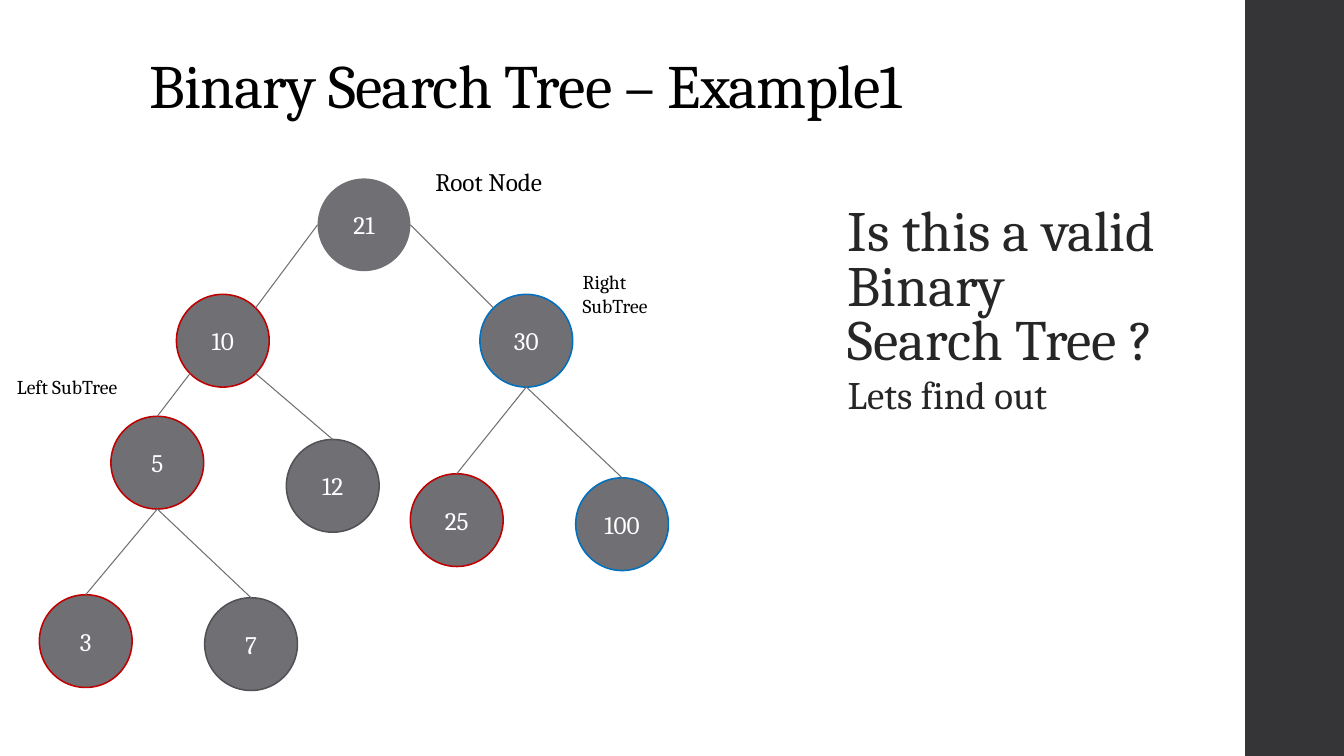
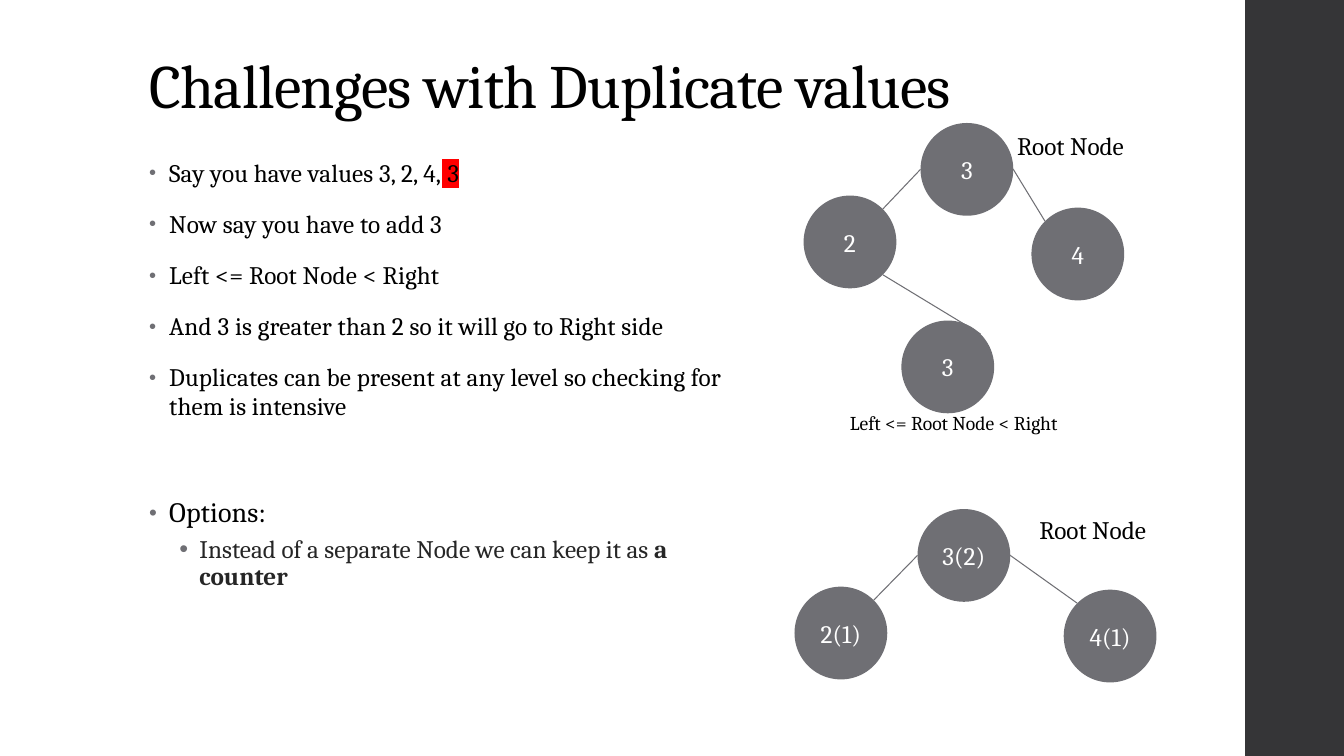
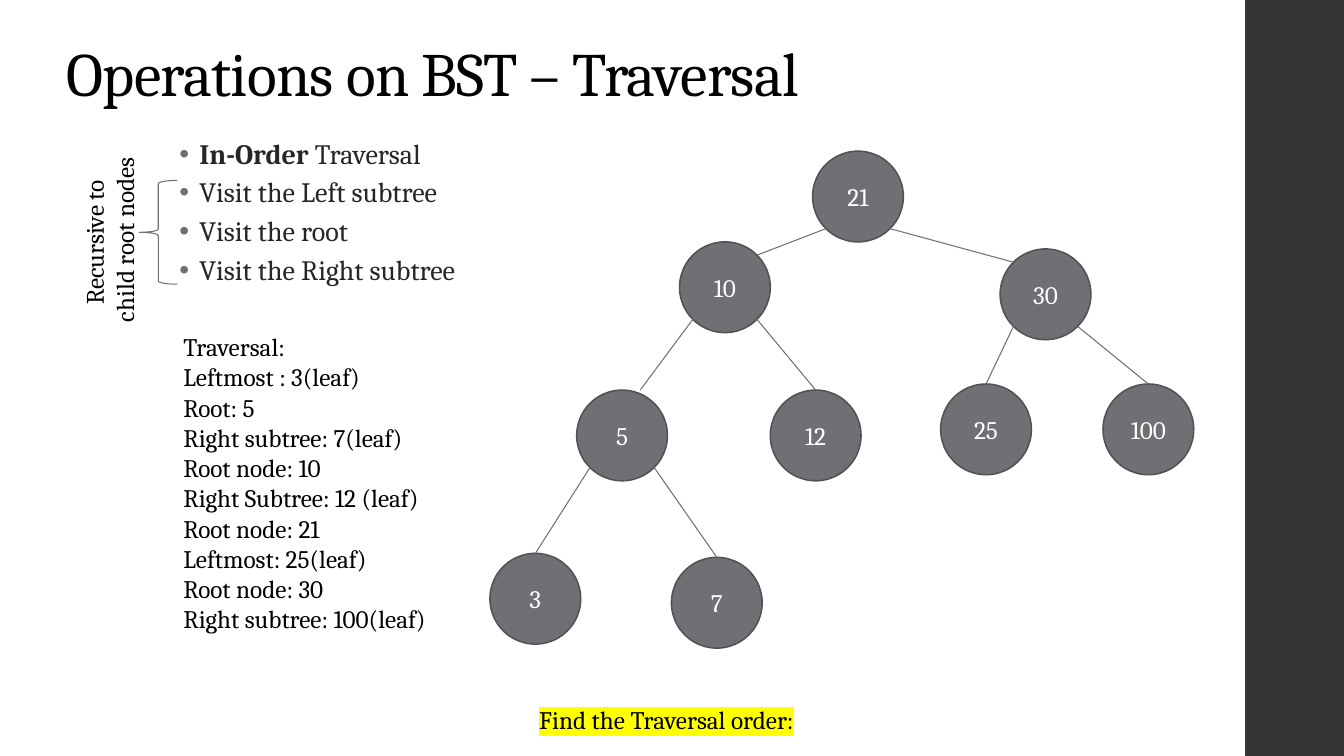
from dataclasses import dataclass, replace

from lxml.etree import SubElement
from pptx import Presentation
from pptx.dml.color import RGBColor
from pptx.enum.shapes import MSO_CONNECTOR, MSO_SHAPE
from pptx.enum.text import MSO_ANCHOR, MSO_AUTO_SIZE, PP_ALIGN
from pptx.oxml.ns import qn
from pptx.util import Inches, Pt

FONT = "Cambria"
BLACK, WHITE, INK = "000000", "FFFFFF", "262626"
GRAY, DARK_GRAY, BAND = "6F6F74", "525256", "353537"
RED, BLUE = "C00000", "0070C0"
MARK_RED, MARK_YELLOW = "FF0000", "FFFF00"

SITES = {
    "top": (0.5, 0), "bottom": (0.5, 1), "left": (0, 0.5), "right": (1, 0.5),
    "top left": (0.146, 0.146), "top right": (0.854, 0.146),
    "bottom left": (0.146, 0.854), "bottom right": (0.854, 0.854),
    "right of top": (0.7, 0),
}


@dataclass(frozen=True)
class Style:
    """Paragraph and character settings, in points and inches."""
    size: float = 18
    color: str = BLACK
    tracking: float = 0
    line: float = 1
    before: float = 0
    after: float = 0
    indent: float = 0
    bullet: int = 0
    align: PP_ALIGN = PP_ALIGN.LEFT


@dataclass(frozen=True)
class Run:
    """A stretch of text that differs from its paragraph."""
    text: str
    bold: bool = False
    mark: str = ""


@dataclass(frozen=True)
class Node:
    """A tree node; sites are where its edge leaves the parent and arrives."""
    label: str
    x: float
    y: float
    outline: str = ""
    sites: tuple = ()
    children: tuple = ()


TITLE = Style(44, tracking=-0.5, line=0.9)
LABEL = Style()
SMALL_LABEL = Style(14)
NODE = Style(color=WHITE, align=PP_ALIGN.CENTER)
POINT = Style(tracking=0.1, line=0.95, before=14, after=2, indent=0.2, bullet=80)
OPTIONS = replace(POINT, size=20, before=52.3)
SUBPOINT = Style(color=INK, line=0.9, before=3, after=3, indent=0.5, bullet=100)
STEP = replace(SUBPOINT, size=20)
QUESTION = Style(40.7, INK, line=0.8, before=3, after=3, indent=0.6)
ANSWER = replace(QUESTION, size=27.8)


def rgb(value):
    """Turn a hex string into a colour."""
    return RGBColor.from_string(value)


def add_bullet(paragraph, percent):
    """Give a paragraph a hanging gray bullet."""
    properties = paragraph._p.get_or_add_pPr()
    properties.set("indent", str(Inches(-0.2)))
    color = SubElement(properties, qn("a:buClr"))
    SubElement(color, qn("a:srgbClr"), val=GRAY)
    SubElement(properties, qn("a:buSzPct"), val=str(percent * 1000))
    SubElement(properties, qn("a:buFont"), typeface="Arial")
    SubElement(properties, qn("a:buChar"), char="•")


def add_run(paragraph, part, style):
    """Add one run in the paragraph's style."""
    run = paragraph.add_run()
    run.text = part.text
    run.font.size = Pt(style.size)
    run.font.bold = part.bold
    run.font.color.rgb = rgb(style.color)
    properties = run.font._element
    if style.tracking:
        properties.set("spc", str(round(style.tracking * 100)))
    if part.mark:
        highlight = SubElement(properties, qn("a:highlight"))
        SubElement(highlight, qn("a:srgbClr"), val=part.mark)
    run.font.name = FONT


def write(frame, paragraphs):
    """Fill a text frame with (style, text or runs) pairs."""
    for index, (style, *parts) in enumerate(paragraphs):
        paragraph = frame.add_paragraph() if index else frame.paragraphs[0]
        paragraph.alignment = style.align
        paragraph.line_spacing = style.line
        paragraph.space_before = Pt(style.before)
        paragraph.space_after = Pt(style.after)
        paragraph._p.get_or_add_pPr().set("marL", str(Inches(style.indent)))
        if style.bullet:
            add_bullet(paragraph, style.bullet)
        for part in parts:
            add_run(paragraph, Run(part) if isinstance(part, str) else part, style)


def add_text(slide, left, top, width, height, *paragraphs, rotation=0):
    """Add a wrapped text box."""
    box = slide.shapes.add_textbox(*map(Inches, (left, top, width, height)))
    box.rotation = rotation
    box.text_frame.word_wrap = True
    write(box.text_frame, paragraphs)


def add_preset(slide, preset, left, top, width, height, fill="", outline="", weight=1.1):
    """Add a flat preset shape with optional fill and outline."""
    shape = slide.shapes.add_shape(preset, *map(Inches, (left, top, width, height)))
    shape.shadow.inherit = False
    if fill:
        shape.fill.solid()
        shape.fill.fore_color.rgb = rgb(fill)
    else:
        shape.fill.background()
    if outline:
        shape.line.color.rgb = rgb(outline)
        shape.line.width = Pt(weight)
    else:
        shape.line.fill.background()
    return shape


def add_edge(slide, start, end):
    """Draw a thin gray line between two points."""
    edge = slide.shapes.add_connector(MSO_CONNECTOR.STRAIGHT, *map(Inches, start + end))
    edge.line.color.rgb = rgb(GRAY)
    edge.line.width = Pt(0.75)
    SubElement(edge._element.spPr, qn("a:effectLst"))


def site_point(node, site, diameter):
    """Locate a named site on a node's circle."""
    across, down = SITES[site]
    return node.x + across * diameter, node.y + down * diameter


def add_tree(slide, node, diameter=0.92, outline=""):
    """Draw a node, then its subtrees with their edges."""
    circle = add_preset(slide, MSO_SHAPE.OVAL, node.x, node.y, diameter, diameter,
                        GRAY, node.outline or outline)
    frame = circle.text_frame
    frame.margin_left = frame.margin_right = 0
    frame.vertical_anchor = MSO_ANCHOR.MIDDLE
    write(frame, [(NODE, node.label)])
    for child in node.children:
        leave, arrive = child.sites
        add_tree(slide, child, diameter, outline)
        add_edge(slide, site_point(node, leave, diameter),
                 site_point(child, arrive, diameter))


def add_titled_slide(deck, text, left=1.38, top=0.4):
    """Add a title-only slide and style its title."""
    slide = deck.slides.add_slide(deck.slide_layouts[5])
    title = slide.shapes.title
    title.left, title.top = Inches(left), Inches(top)
    title.width, title.height = Inches(10.6), Inches(0.86)
    frame = title.text_frame
    frame.word_wrap = True
    frame.auto_size = MSO_AUTO_SIZE.NONE
    frame.vertical_anchor = MSO_ANCHOR.BOTTOM
    write(frame, [(TITLE, text)])
    return slide


def move_band_to_master(deck, slide):
    """Put the dark side band on the slide master."""
    band = add_preset(slide, MSO_SHAPE.RECTANGLE, 12.35, 0, 1, 7.5, BAND)
    deck.slide_master.shapes.element.append(band.element)


def build_example(deck):
    """Build the example tree with its question."""
    slide = add_titled_slide(deck, "Binary Search Tree – Example1")
    move_band_to_master(deck, slide)
    five = Node("5", 1.1, 4.13, RED, ("bottom left", "top"), (
        Node("3", 0.39, 5.9, RED, ("bottom", "top")),
        Node("7", 2.03, 5.93, DARK_GRAY, ("bottom", "top"))))
    ten = Node("10", 1.75, 2.92, RED, ("left", "top right"), (
        five, Node("12", 2.84, 4.36, DARK_GRAY, ("bottom right", "top"))))
    thirty = Node("30", 4.76, 2.92, BLUE, ("right", "top left"), (
        Node("25", 4.07, 4.7, RED, ("bottom", "top")),
        Node("100", 5.71, 4.74, BLUE, ("bottom", "top"))))
    add_tree(slide, Node("21", 3.15, 1.77, children=(ten, thirty)))
    add_text(slide, 4.22, 1.6, 1.41, 0.4, (LABEL, "Root Node"))
    add_text(slide, 0.07, 3.67, 1.4, 0.34, (SMALL_LABEL, "Left SubTree"))
    add_text(slide, 5.68, 2.63, 0.97, 0.57,
             (SMALL_LABEL, "Right"), (SMALL_LABEL, "SubTree"))
    add_text(slide, 7.71, 2.01, 3.97, 3.65,
             (QUESTION, "Is this a valid Binary Search Tree ?"),
             (ANSWER, "Lets find out"))


def build_duplicates(deck):
    """Build the discussion of duplicate values."""
    slide = add_titled_slide(deck, "Challenges with Duplicate values")
    add_text(
        slide, 1.38, 1.53, 5.92, 5.23,
        (POINT, "Say you have values 3, 2, 4,", Run(" 3", mark=MARK_RED)),
        (POINT, "Now say you have to add 3"),
        (POINT, "Left <= Root Node < Right"),
        (POINT, "And 3 is greater than 2 so it will go to Right side"),
        (POINT, "Duplicates can be present at any level so checking for them is intensive"),
        (OPTIONS, "Options:"),
        (SUBPOINT, "Instead of a separate Node we can keep it as ",
         Run("a counter", bold=True)))
    left_sites, right_sites = ("left", "top right"), ("right", "top left")
    duplicate = Node("3", 8.94, 3.18, sites=("bottom right", "top right"))
    add_tree(slide, Node("3", 9.13, 1.22, children=(
        Node("2", 7.97, 1.94, sites=left_sites, children=(duplicate,)),
        Node("4", 10.23, 2.06, sites=right_sites))))
    add_tree(slide, Node("3(2)", 9.1, 5.05, children=(
        Node("2(1)", 7.88, 5.82, sites=left_sites),
        Node("4(1)", 10.55, 5.85, sites=right_sites))))
    for left, top in ((9.99, 1.24), (10.21, 5.05)):
        add_text(slide, left, top, 1.41, 0.4, (LABEL, "Root Node"))
    add_text(slide, 7.83, 4.03, 3.15, 0.34,
             (replace(SMALL_LABEL, indent=0.5), "Left <= Root Node < Right"))


def build_traversal(deck):
    """Build the in-order traversal walk-through."""
    slide = add_titled_slide(deck, "Operations on BST – Traversal", 0.56, 0.28)
    add_text(slide, 1.38, 1.34, 6.43, 1.6,
             (STEP, Run("In-Order", bold=True), " Traversal"),
             (STEP, "Visit the Left subtree"),
             (STEP, "Visit the root"),
             (STEP, "Visit the Right subtree"))
    add_preset(slide, MSO_SHAPE.LEFT_BRACE, 1.38, 1.79, 0.38, 1.03,
               outline=GRAY, weight=0.75)
    centered = replace(LABEL, align=PP_ALIGN.CENTER)
    add_text(slide, 0.03, 2.05, 2.11, 0.71, (centered, "Recursive to"),
             (centered, " child root nodes"), rotation=270)
    visits = ("Traversal:", "Leftmost : 3(leaf)", "Root: 5",
              "Right subtree: 7(leaf)", "Root node: 10",
              "Right Subtree: 12 (leaf)", "Root node: 21",
              "Leftmost: 25(leaf)", "Root node: 30", "Right subtree: 100(leaf)")
    add_text(slide, 1.72, 3.24, 4.66, 3.43, *((LABEL, visit) for visit in visits))
    left_sites, right_sites = ("bottom left", "top"), ("bottom right", "top")
    five = Node("5", 5.72, 3.87, sites=("bottom left", "right of top"), children=(
        Node("3", 4.86, 5.49, sites=left_sites),
        Node("7", 6.66, 5.53, sites=right_sites)))
    ten = Node("10", 6.74, 2.4, sites=("bottom left", "top right"), children=(
        five, Node("12", 7.64, 3.87, sites=right_sites)))
    thirty = Node("30", 9.92, 2.47, sites=("bottom right", "top left"), children=(
        Node("25", 9.33, 3.81, sites=left_sites),
        Node("100", 10.94, 3.81, sites=right_sites)))
    add_tree(slide, Node("21", 8.06, 1.5, children=(ten, thirty)), 0.9, DARK_GRAY)
    add_text(slide, 5.25, 6.94, 3.23, 0.4,
             (LABEL, Run("Find the Traversal order:", mark=MARK_YELLOW)))


def main():
    """Build and save the deck."""
    deck = Presentation()
    deck.slide_width, deck.slide_height = Inches(13.33), Inches(7.5)
    build_example(deck)
    build_duplicates(deck)
    build_traversal(deck)
    deck.save("out.pptx")


if __name__ == "__main__":
    main()
